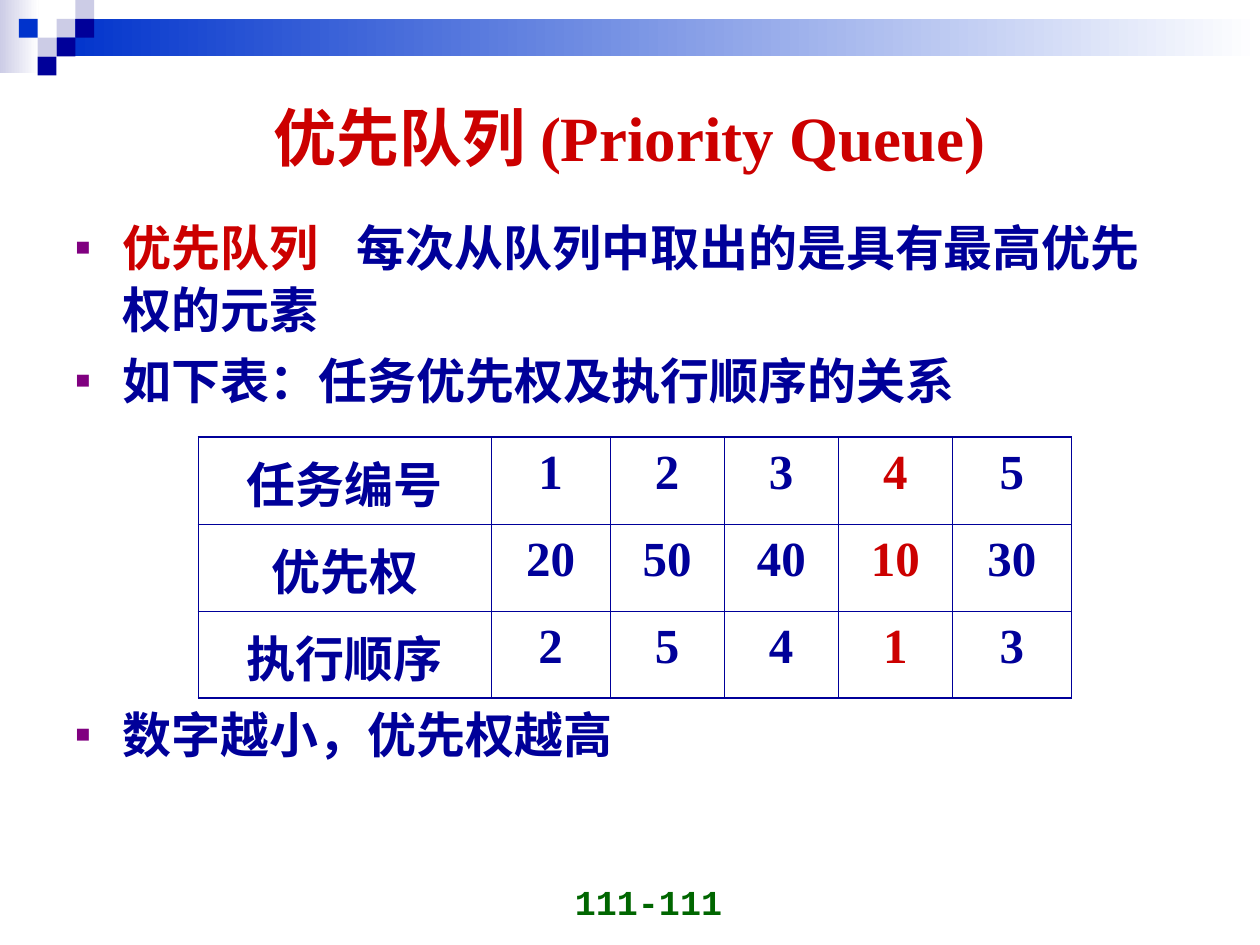
from dataclasses import dataclass

import pptx
import pptx.dml.color
import pptx.enum.shapes
import pptx.enum.text
import pptx.oxml
import pptx.oxml.ns
import pptx.util
from pptx.util import Cm, Pt

ALIGN = pptx.enum.text.PP_ALIGN
ANCHOR = pptx.enum.text.MSO_ANCHOR


@dataclass(frozen=True)
class Theme:
    navy: str = "000099"
    blue: str = "0033CC"
    lavender: str = "CCCCE6"
    white: str = "FFFFFF"
    red: str = "CC0000"
    purple: str = "800080"
    green: str = "006600"
    serif: str = "Times New Roman"
    sans: str = "Arial"
    mono: str = "Courier New"
    title_size: int = 36
    body_size: int = 28
    number_size: int = 20
    outer_line: float = 1.08
    inner_line: float = 0.45


THEME = Theme()

DEFINITION = [
    ("优先队列", {"color": THEME.red}),
    (" ", {"spacing": 15.6}),
    ("每次从队列中取出的是具有最高优先权的元素", {}),
]
# Each bullet: its runs and the space before it; the last one clears the table
BULLETS = [
    (DEFINITION, 0),
    ([("如下表：任务优先权及执行顺序的关系", {})], 5.2),
    ([("数字越小，优先权越高", {})], 167),
]
TASKS = [
    ["任务编号", "1", "2", "3", "4", "5"],
    ["优先权", "20", "50", "40", "10", "30"],
    ["执行顺序", "2", "5", "4", "1", "3"],
]
FIRST_TASK_COLUMN = 4
COLUMN_WIDTHS = [5.9, 2.4, 2.3, 2.3, 2.3, 2.4]


def rgb(color):
    return pptx.dml.color.RGBColor.from_string(color)


def place(part, box):
    part.left, part.top, part.width, part.height = (Cm(v) for v in box)


def add_text(paragraph, text, *, font=THEME.serif, size=THEME.body_size,
             color=THEME.navy, align=None, spacing=None):
    run = paragraph.add_run()
    run.text = text
    run.font.name = font
    run.font.size = Pt(size)
    run.font.bold = True
    run.font.color.rgb = rgb(color)
    if align is not None:
        paragraph.alignment = align
    if spacing is not None:
        run.font._element.set("spc", str(round(spacing * 100)))


def add_block(slide, box, color, fade_to=None):
    block = slide.shapes.add_shape(
        pptx.enum.shapes.MSO_SHAPE.RECTANGLE, *(Cm(v) for v in box))
    block.shadow.inherit = False
    block.line.fill.background()
    if fade_to is None:
        block.fill.solid()
        block.fill.fore_color.rgb = rgb(color)
    else:
        block.fill.gradient()
        block.fill.gradient_angle = 0
        for stop, shade in zip(block.fill.gradient_stops, (color, fade_to)):
            stop.color.rgb = rgb(shade)
            stop.position = 0 if shade == color else 1


def add_banner(slide, box):
    left, top, width, _ = box
    unit = 0.38
    # Fading bands
    add_block(slide, (left, top, 0.78, 1.47), THEME.lavender, THEME.white)
    add_block(slide, (left + 3 * unit, top + unit, width - 3 * unit, 2 * unit),
              THEME.blue, THEME.white)
    # Checker squares as (column, row, color)
    squares = [
        (3, 1, THEME.lavender), (4, 0, THEME.lavender), (4, 1, THEME.navy),
        (2, 2, THEME.lavender), (1, 1, THEME.blue), (3, 2, THEME.navy),
        (2, 3, THEME.navy),
    ]
    for column, row, color in squares:
        add_block(slide, (left + column * unit, top + row * unit, unit, unit), color)


def add_title(slide, box):
    title = slide.shapes.title
    place(title, box)
    frame = title.text_frame
    frame.auto_size = pptx.enum.text.MSO_AUTO_SIZE.NONE
    frame.vertical_anchor = ANCHOR.MIDDLE
    add_text(frame.paragraphs[0], "优先队列 (Priority Queue)", size=THEME.title_size,
             color=THEME.red, align=ALIGN.CENTER)


def set_bullet(paragraph):
    properties = paragraph._p.get_or_add_pPr()
    properties.set("marL", str(Cm(0.95)))
    properties.set("indent", str(Cm(-0.95)))
    ns = pptx.oxml.ns.nsdecls("a")
    for xml in (
        f'<a:buClr {ns}><a:srgbClr val="{THEME.purple}"/></a:buClr>',
        f'<a:buSzPct {ns} val="50000"/>',
        f'<a:buFont {ns} typeface="{THEME.sans}"/>',
        f'<a:buChar {ns} char="■"/>',
    ):
        properties.append(pptx.oxml.parse_xml(xml))


def add_bullets(slide, box):
    body = slide.placeholders[1]
    place(body, box)
    frame = body.text_frame
    frame.auto_size = pptx.enum.text.MSO_AUTO_SIZE.NONE
    for index, (runs, gap) in enumerate(BULLETS):
        paragraph = frame.add_paragraph() if index else frame.paragraphs[0]
        set_bullet(paragraph)
        paragraph.line_spacing = Pt(35.4)
        paragraph.space_before = Pt(gap)
        for text, look in runs:
            add_text(paragraph, text, font=THEME.sans, **look)


def set_borders(cell, widths):
    properties = cell._tc.get_or_add_tcPr()
    ns = pptx.oxml.ns.nsdecls("a")
    for side, width in widths.items():
        properties.append(pptx.oxml.parse_xml(
            f'<a:ln{side} {ns} w="{Pt(width)}"><a:solidFill>'
            f'<a:srgbClr val="{THEME.navy}"/></a:solidFill></a:ln{side}>'))


def add_task_table(slide, box):
    rows, columns = len(TASKS), len(TASKS[0])
    table = slide.shapes.add_table(rows, columns, *(Cm(v) for v in box)).table
    table.first_row = table.horz_banding = False
    for column, width in zip(table.columns, COLUMN_WIDTHS):
        column.width = Cm(width)
    for r, values in enumerate(TASKS):
        for c, value in enumerate(values):
            cell = table.cell(r, c)
            edges = {"L": c == 0, "R": c == columns - 1, "T": r == 0, "B": r == rows - 1}
            set_borders(cell, {side: THEME.outer_line if outer else THEME.inner_line
                               for side, outer in edges.items()})
            cell.fill.background()
            paragraph = cell.text_frame.paragraphs[0]
            paragraph.line_spacing = 1.05
            add_text(paragraph, value, align=ALIGN.CENTER,
                     color=THEME.red if c == FIRST_TASK_COLUMN else THEME.navy)


def add_page_number(slide, box):
    frame = slide.shapes.add_textbox(*(Cm(v) for v in box)).text_frame
    frame.word_wrap = True
    frame.vertical_anchor = ANCHOR.BOTTOM
    add_text(frame.paragraphs[0], "111-111", font=THEME.mono, size=THEME.number_size,
             color=THEME.green, align=ALIGN.RIGHT)


def main():
    deck = pptx.Presentation()
    deck.slide_width, deck.slide_height = Cm(25.4), Cm(19.05)
    slide = deck.slides.add_slide(deck.slide_layouts[1])
    add_banner(slide, (0, 0, 25.4, 1.52))
    add_title(slide, (1.27, 1.27, 22.86, 2.95))
    add_bullets(slide, (1.27, 4.19, 22.63, 13.2))
    add_task_table(slide, (4, 8.81, 17.6, 4.56))
    add_page_number(slide, (8.89, 17.45, 5.92, 1.27))
    deck.save("out.pptx")


if __name__ == "__main__":
    main()
